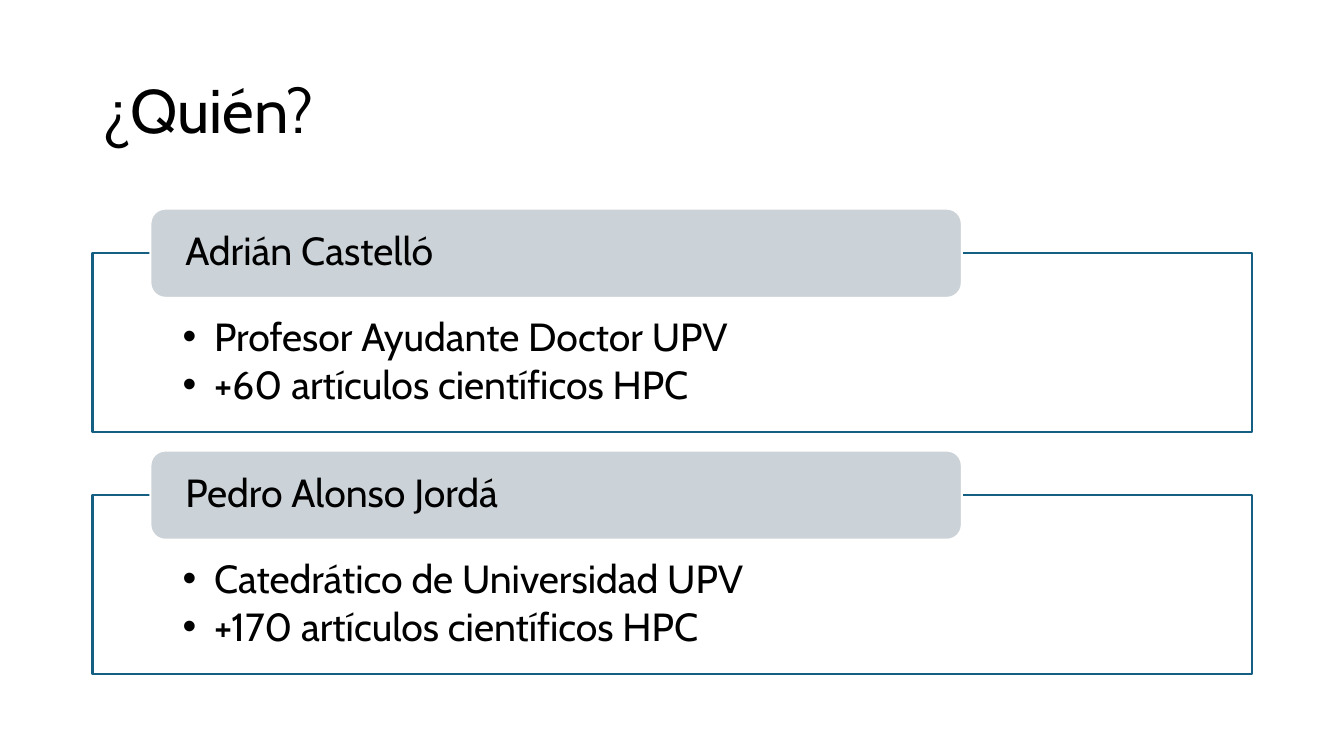
from dataclasses import dataclass

from lxml import etree
from pptx import Presentation
from pptx.dml.color import RGBColor
from pptx.enum.shapes import MSO_SHAPE
from pptx.enum.text import MSO_ANCHOR, MSO_AUTO_SIZE, PP_ALIGN
from pptx.oxml.ns import qn
from pptx.util import Inches, Pt

ROUNDED = MSO_SHAPE.ROUNDED_RECTANGLE
LEFT = PP_ALIGN.LEFT
TOP, MIDDLE = MSO_ANCHOR.TOP, MSO_ANCHOR.MIDDLE
NO_AUTOFIT = MSO_AUTO_SIZE.NONE
TWO_CONTENT_LAYOUT = 3
SLIDE_WIDTH, SLIDE_HEIGHT = Inches(13.333), Inches(7.5)


@dataclass(frozen=True)
class Theme:
    font: str = "Cabin"
    ink: RGBColor = RGBColor(0x00, 0x00, 0x00)
    paper: RGBColor = RGBColor(0xFF, 0xFF, 0xFF)
    frame: RGBColor = RGBColor(0x15, 0x60, 0x82)
    label: RGBColor = RGBColor(0xCC, 0xD3, 0xD8)
    title_size: int = 44
    text_size: int = 28
    line_width: float = 1.5
    line_spacing: float = 0.9


@dataclass(frozen=True)
class Area:
    """A rectangle in percent of the slide's width and height."""
    left: float
    top: float
    width: float
    height: float

    def lowered(self, distance):
        return Area(self.left, self.top + distance, self.width, self.height)


@dataclass(frozen=True)
class Speaker:
    name: str
    facts: tuple[str, ...]


THEME = Theme()
TITLE_AREA = Area(6.88, 5.33, 86.25, 19.33)
FRAME_AREA = Area(6.88, 33.47, 86.25, 23.73)
LABEL_AREA = Area(11.19, 27.6, 60.38, 11.8)
SPEAKER_PITCH = 32
BULLET_INDENT = 2.35
SPEAKERS = (
    Speaker("Adrián Castelló",
            ("Profesor Ayudante Doctor UPV", "+60 artículos científicos HPC")),
    Speaker("Pedro Alonso Jordá",
            ("Catedrático de Universidad UPV", "+170 artículos científicos HPC")),
)


def across(percent: float) -> int:
    return round(SLIDE_WIDTH * percent / 100)


def down(percent: float) -> int:
    return round(SLIDE_HEIGHT * percent / 100)


def place(shape, area: Area) -> None:
    shape.left, shape.top = across(area.left), down(area.top)
    shape.width, shape.height = across(area.width), down(area.height)


def paint(shape, fill: RGBColor, line: RGBColor) -> None:
    shape.fill.solid()
    shape.fill.fore_color.rgb = fill
    shape.line.color.rgb = line
    shape.line.width = Pt(THEME.line_width)


def set_opacity(shape, percent: int) -> None:
    color = shape.fill._xPr.find(qn("a:solidFill"))[0]
    etree.SubElement(color, qn("a:alpha"), val=str(percent * 1000))


def add_bullet(paragraph) -> None:
    paragraph.level = 1
    properties = paragraph._p.get_or_add_pPr()
    properties.set("marL", str(across(BULLET_INDENT)))
    properties.set("indent", str(-across(BULLET_INDENT)))
    etree.SubElement(properties, qn("a:buFont"), typeface="Arial")
    etree.SubElement(properties, qn("a:buChar"), char="•")


def write(shape, *lines: str, size: int = THEME.text_size, anchor=MIDDLE,
          side: float = 0.75, top: float = 0, bottom: float = 0,
          space_after: float = 0, bullets: bool = False) -> None:
    """Fill a shape with one paragraph per line; insets are slide percents."""
    frame = shape.text_frame
    frame.text = "\n".join(lines)
    frame.word_wrap = True
    frame.auto_size = NO_AUTOFIT
    frame.vertical_anchor = anchor
    frame.margin_left = frame.margin_right = across(side)
    frame.margin_top, frame.margin_bottom = down(top), down(bottom)
    for paragraph in frame.paragraphs:
        paragraph.alignment = LEFT
        paragraph.line_spacing = THEME.line_spacing
        paragraph.space_before = Pt(0)
        paragraph.space_after = Pt(space_after)
        if bullets:
            add_bullet(paragraph)
        for run in paragraph.runs:
            run.font.name = THEME.font
            run.font.size = Pt(size)
            run.font.color.rgb = THEME.ink


def draw_speaker(slide, body, speaker: Speaker, distance: float) -> None:
    place(body, FRAME_AREA.lowered(distance))
    paint(body, THEME.paper, THEME.frame)
    set_opacity(body, 90)
    write(body, *speaker.facts, anchor=TOP, side=6.7, top=8.5, bottom=2.9,
          space_after=4.2, bullets=True)

    label = slide.shapes.add_shape(ROUNDED, 0, 0, 0, 0)
    label.shadow.inherit = False
    place(label, LABEL_AREA.lowered(distance))
    paint(label, THEME.label, THEME.paper)
    write(label, speaker.name, side=2.28)


def main() -> None:
    presentation = Presentation()
    presentation.slide_width, presentation.slide_height = SLIDE_WIDTH, SLIDE_HEIGHT
    slide = presentation.slides.add_slide(
        presentation.slide_layouts[TWO_CONTENT_LAYOUT])

    title, *bodies = slide.placeholders
    place(title, TITLE_AREA)
    write(title, "¿Quién?", size=THEME.title_size, top=0.67, bottom=0.67)
    for index, (body, speaker) in enumerate(zip(bodies, SPEAKERS)):
        draw_speaker(slide, body, speaker, index * SPEAKER_PITCH)

    presentation.save("out.pptx")


if __name__ == "__main__":
    main()
